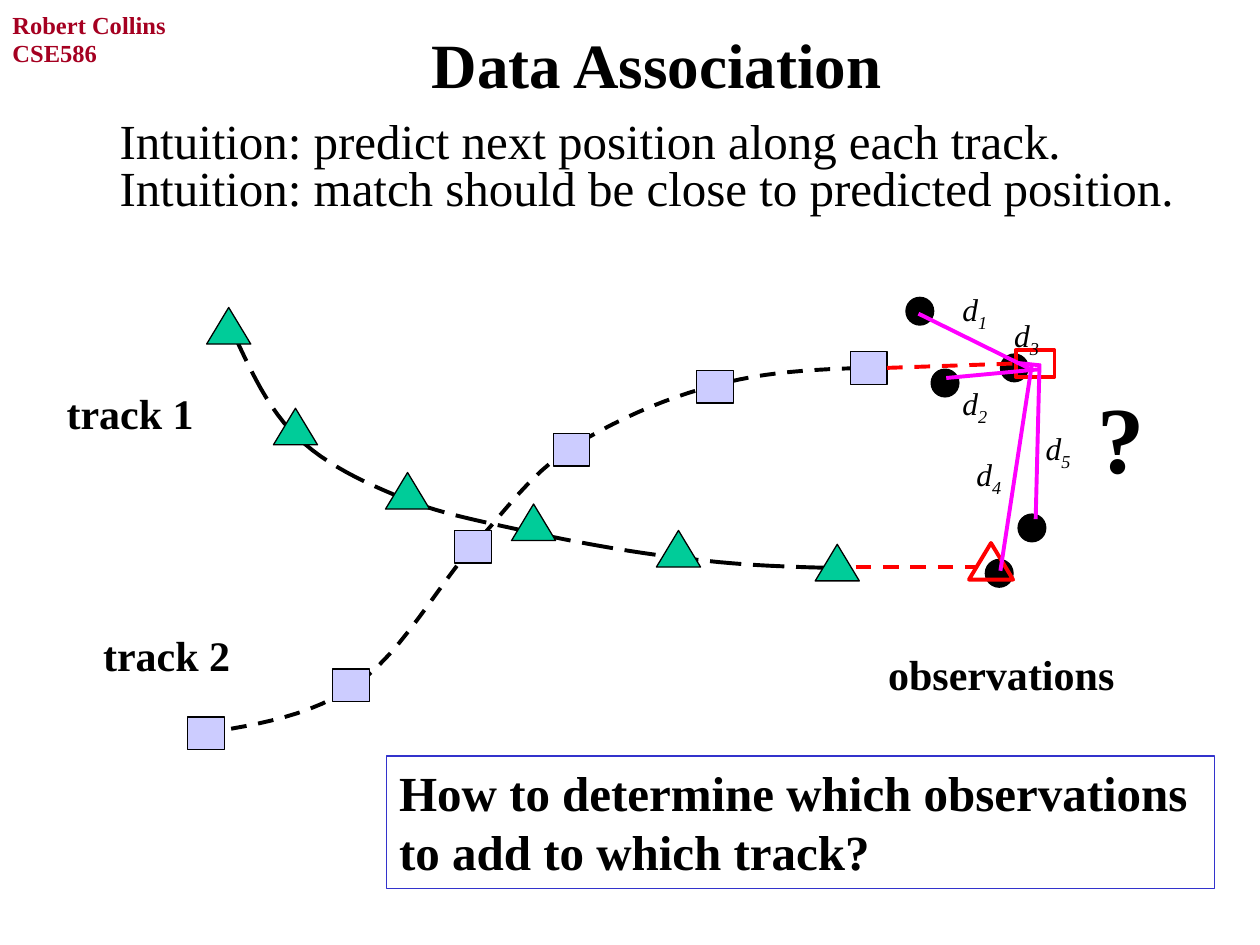
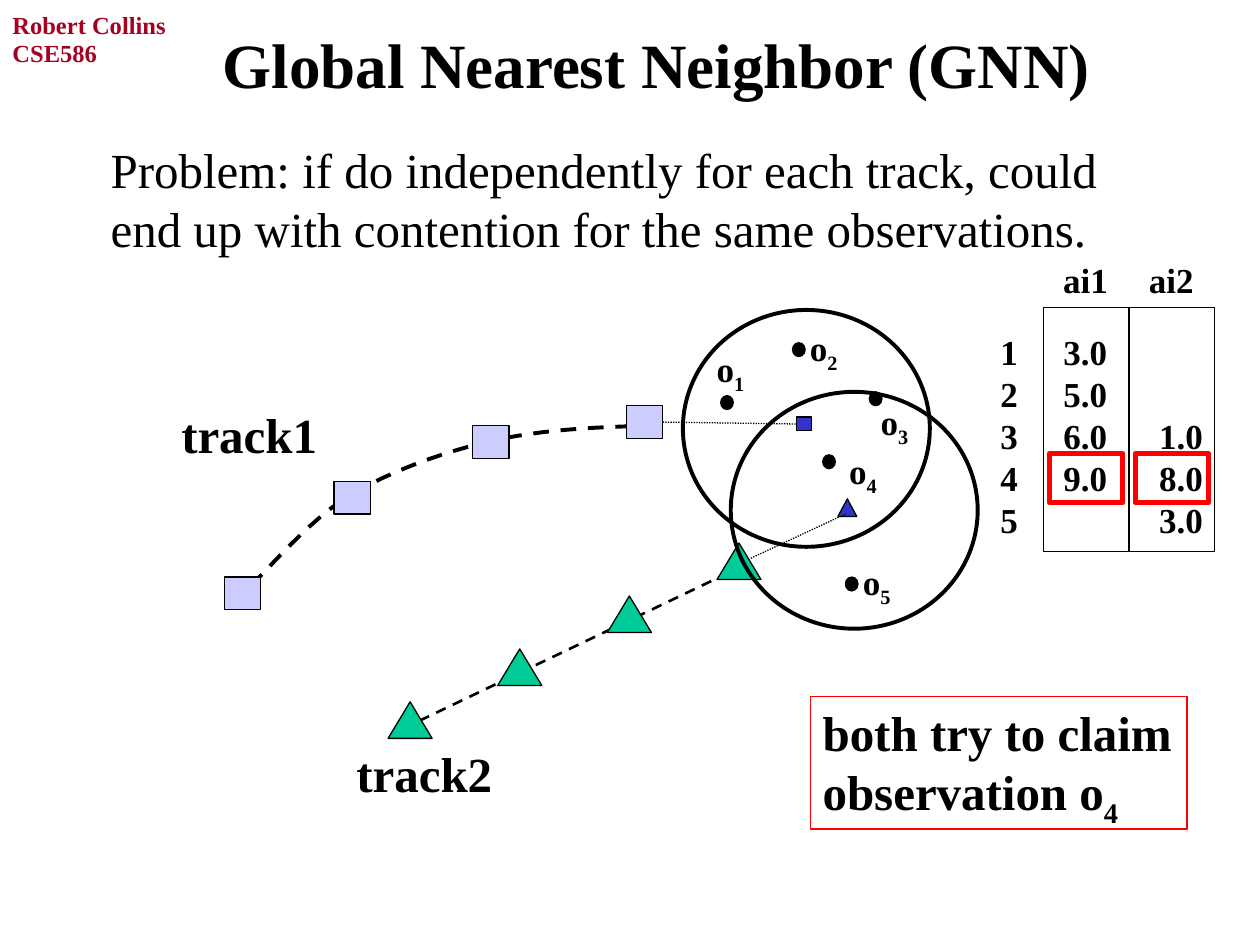
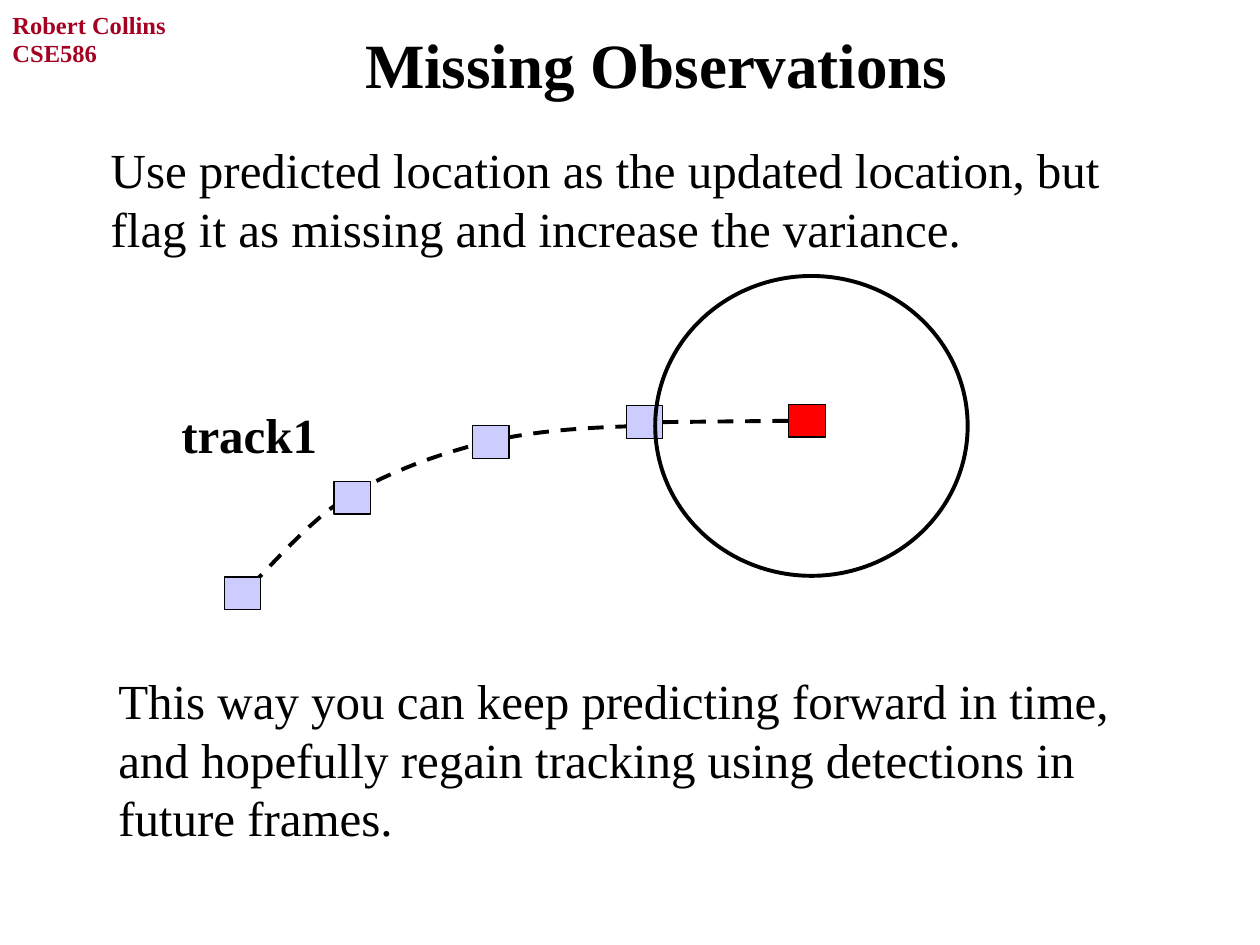
from lxml import etree
from pptx import Presentation
from pptx import util as u
from pptx.dml.color import RGBColor
from pptx.enum import dml, shapes, text
from pptx.oxml.ns import qn

# The slide is a grid of 10 columns by 7.5 rows of square cells.
COLUMNS, ROWS = 10, 7.5
CELL = u.Inches(1)

FONT = "Times New Roman"
BLACK = RGBColor(0x00, 0x00, 0x00)
MAROON = RGBColor(0xA5, 0x00, 0x21)
GREEN = RGBColor(0x00, 0xCC, 0x99)
LAVENDER = RGBColor(0xCC, 0xCC, 0xFF)
BLUE = RGBColor(0x33, 0x33, 0xCC)
RED = RGBColor(0xFF, 0x00, 0x00)
MAGENTA = RGBColor(0xFF, 0x00, 0xFF)

RECTANGLE = shapes.MSO_SHAPE.RECTANGLE
TRIANGLE = shapes.MSO_SHAPE.ISOSCELES_TRIANGLE
OVAL = shapes.MSO_SHAPE.OVAL
DASH = dml.MSO_LINE.DASH
LONG_DASH = dml.MSO_LINE.LONG_DASH
DOTS = dml.MSO_LINE.ROUND_DOT

SQUARE_SIZE = (0.29, 0.26)
TRIANGLE_SIZE = (0.35, 0.29)
OBSERVATION_SIZE = (0.22, 0.22)
SMALL_OBSERVATION_SIZE = (0.1, 0.11)
GATE_SIZE = (1.96, 1.88)
LEFT_SIDE, RIGHT_SIDE = 1, 3
CURVE_STEPS = 12

# Bezier paths: a start point, then two control points and an end for each part.
FALLING_PATH = [
    (1.85, 2.64), (1.99, 2.94), (2.13, 3.25), (2.36, 3.47),
    (2.59, 3.69), (2.89, 3.83), (3.21, 3.96),
    (3.53, 4.09), (3.89, 4.15), (4.28, 4.24),
    (4.66, 4.32), (5.11, 4.4), (5.51, 4.44),
    (5.91, 4.49), (6.3, 4.5), (6.68, 4.51)]
RISING_PATH = [
    (1.62, 5.82), (2.05, 5.75), (2.48, 5.68), (2.83, 5.43),
    (3.19, 5.18), (3.48, 4.64), (3.76, 4.33),
    (4.04, 4.02), (4.2, 3.78), (4.51, 3.57),
    (4.83, 3.36), (5.27, 3.16), (5.67, 3.06),
    (6.06, 2.95), (6.48, 2.93), (6.89, 2.92)]
SHORT_PATH = [
    (1.9, 4.72), (1.86, 4.76), (1.83, 4.8), (1.97, 4.67),
    (2.12, 4.53), (2.46, 4.12), (2.78, 3.93),
    (3.1, 3.74), (3.51, 3.59), (3.9, 3.5),
    (4.3, 3.41), (4.72, 3.39), (5.14, 3.38)]


def cells(*lengths):
    return [u.Emu(round(length * CELL)) for length in lengths]


def set_line(shape, color, width, dash=None):
    shape.line.color.rgb = color
    shape.line.width = u.Pt(width)
    if dash is not None:
        shape.line.dash_style = dash


def add_run(paragraph, words, size, color, bold, italic, subscript=False):
    run = paragraph.add_run()
    run.text = words
    run.font.name = FONT
    run.font.size = u.Pt(size)
    run.font.color.rgb = color
    run.font.bold = bold
    run.font.italic = italic
    if subscript:
        run._r.get_or_add_rPr().set("baseline", "-25000")


def add_text(slide, lines, left, top, width, height, size, color=BLACK,
             bold=False, italic=False, wrap=True):
    """Add one paragraph per line; what follows "_" is set as a subscript."""
    box = slide.shapes.add_textbox(*cells(left, top, width, height))
    frame = box.text_frame
    frame.word_wrap = wrap
    for index, line in enumerate(lines):
        paragraph = frame.add_paragraph() if index else frame.paragraphs[0]
        base, _, subscript = line.partition("_")
        add_run(paragraph, base, size, color, bold, italic)
        if subscript:
            add_run(paragraph, subscript, size, color, bold, italic, True)
    return box


def add_body(slide, words, left, top, height):
    add_text(slide, [words], left, top, 8.58, height, 28)


def add_label(slide, words, left, top, width, height, size):
    add_text(slide, [words], left, top, width, height, size, bold=True, wrap=False)


def add_callout(slide, lines, left, top, width, color):
    box = add_text(slide, lines, left, top, width, 1.05, 28, bold=True)
    set_line(box, color, 0.75)


def add_figure(slide, kind, position, size, fill=None, line=BLACK, width=0.75):
    shape = slide.shapes.add_shape(kind, *cells(*position, *size))
    shape.shadow.inherit = False
    if fill is None:
        shape.fill.background()
    else:
        shape.fill.solid()
        shape.fill.fore_color.rgb = fill
    set_line(shape, line, width)
    return shape


def add_figures(slide, kind, positions, size, fill=None, line=BLACK, width=0.75):
    return [add_figure(slide, kind, position, size, fill, line, width)
            for position in positions]


def add_line(slide, start, end, color, width, dash=None, source=None, target=None):
    """Draw a straight line, joined to the right of source and left of target."""
    connector = slide.shapes.add_connector(
        shapes.MSO_CONNECTOR.STRAIGHT, *cells(*start, *end))
    if source is not None:
        connector.begin_connect(source, RIGHT_SIDE)
    if target is not None:
        connector.end_connect(target, LEFT_SIDE)
    set_line(connector, color, width, dash)
    etree.SubElement(connector._element.spPr, qn("a:effectLst"))


def bezier_point(points, t):
    weights = ((1 - t) ** 3, 3 * t * (1 - t) ** 2, 3 * t ** 2 * (1 - t), t ** 3)
    return tuple(sum(weight * point[axis] for weight, point in zip(weights, points))
                 for axis in (0, 1))


def add_curve(slide, path_points, dash):
    vertices = [
        cells(*bezier_point(path_points[first:first + 4], step / CURVE_STEPS))
        for first in range(0, len(path_points) - 1, 3)
        for step in range(1, CURVE_STEPS + 1)]
    builder = slide.shapes.build_freeform(*cells(*path_points[0]))
    builder.add_line_segments(vertices, close=False)
    curve = builder.convert_to_shape()
    curve.shadow.inherit = False
    curve.fill.background()
    set_line(curve, BLACK, 2.25, dash)


def add_tab_stops(paragraph, stops):
    tab_list = etree.SubElement(paragraph._p.get_or_add_pPr(), qn("a:tabLst"))
    for stop in cells(*stops):
        etree.SubElement(tab_list, qn("a:tab"), pos=str(stop), algn="l")


def add_titled_slide(presentation, title):
    slide = presentation.slides.add_slide(presentation.slide_layouts[6])
    add_text(slide, ["CSE586"], 0, 0.25, 1.59, 0.33, 14, MAROON, bold=True)
    add_text(slide, ["Robert Collins"], 0, 0.03, 1.42, 0.33, 14, MAROON,
             bold=True, wrap=False)
    box = add_text(slide, [title], 1.25, 0.04, 7.92, 0.92, 36, bold=True)
    box.text_frame.vertical_anchor = text.MSO_ANCHOR.MIDDLE
    box.text_frame.paragraphs[0].alignment = text.PP_ALIGN.CENTER
    return slide


def add_short_track(slide):
    """Draw the rising track of four squares and return its last square."""
    add_curve(slide, SHORT_PATH, DASH)
    squares = add_figures(
        slide, RECTANGLE, [(1.78, 4.58), (2.65, 3.82), (3.75, 3.38), (4.97, 3.22)],
        SQUARE_SIZE, LAVENDER)
    add_label(slide, "track1", 1.34, 3.16, 1.28, 0.57, 28)
    return squares[-1]


def add_score_table(slide):
    """Draw the scores of the five observations for the two tracks."""
    left, top, column, height = 8.28, 2.44, 0.68, 1.94
    scores = [("3.0",), ("5.0",), ("6.0", "1.0"), ("9.0", "8.0"), ("", "3.0")]
    lines = ["\t".join((str(number), *row)) for number, row in enumerate(scores, 1)]
    box = add_text(slide, lines, 7.84, 2.57, 1.81, 2.1, 20, bold=True)
    for paragraph in box.text_frame.paragraphs:
        add_tab_stops(paragraph, (0.5, 1.26))
    for index, heading in enumerate(("ai1", "ai2")):
        column_left = left + index * column
        add_label(slide, heading, column_left + 0.06, 2, 0.56, 0.43, 20)
        add_figure(slide, RECTANGLE, (column_left, top), (column, height))
        add_figure(slide, RECTANGLE, (column_left + 0.05, 3.6), (0.58, 0.39),
                   line=RED, width=3)


def build_data_association(presentation):
    slide = add_titled_slide(presentation, "Data Association")
    add_body(slide, "Intuition: predict next position along each track.",
             0.85, 0.83, 0.57)
    add_body(slide, "Intuition: match should be close to predicted position.",
             0.85, 1.2, 0.57)

    add_curve(slide, FALLING_PATH, LONG_DASH)
    add_curve(slide, RISING_PATH, DASH)
    squares = add_figures(
        slide, RECTANGLE,
        [(1.49, 5.69), (2.64, 5.31), (3.61, 4.21), (4.39, 3.44), (5.53, 2.94),
         (6.75, 2.79)], SQUARE_SIZE, LAVENDER)
    add_figures(
        slide, TRIANGLE,
        [(1.64, 2.44), (2.17, 3.24), (3.06, 3.75), (4.06, 4), (5.21, 4.21),
         (6.47, 4.32)], TRIANGLE_SIZE, GREEN)
    add_figures(
        slide, OVAL,
        [(7.94, 2.81), (7.82, 4.44), (7.39, 2.93), (7.19, 2.36), (8.08, 4.08)],
        OBSERVATION_SIZE, BLACK)

    add_label(slide, "observations", 6.95, 5.1, 2, 0.5, 24)
    add_label(slide, "?", 8.61, 2.96, 0.58, 1, 54)
    add_label(slide, "track 1", 0.43, 3.03, 1.21, 0.5, 24)
    add_label(slide, "track 2", 0.72, 4.95, 1.21, 0.5, 24)
    add_callout(slide, ["How to determine which observations",
                        "to add to which track?"], 3.07, 6, 6.57, BLUE)

    predicted = add_figure(slide, RECTANGLE, (8.06, 2.78), (0.31, 0.21),
                           line=RED, width=2.25)
    add_figure(slide, TRIANGLE, (7.69, 4.31), TRIANGLE_SIZE, line=RED, width=2.25)
    add_line(slide, (7.04, 2.9), (8.06, 2.9), RED, 2.25, DASH, squares[-1], predicted)
    add_line(slide, (6.79, 4.5), (7.76, 4.5), RED, 2.25, DASH)

    for start, end in [((8.25, 2.89), (8.22, 4.12)), ((8.19, 2.89), (7.94, 4.53)),
                       ((8.18, 2.93), (7.29, 2.49)), ((8.26, 2.93), (7.51, 3)),
                       ((8.26, 2.9), (8.07, 2.88))]:
        add_line(slide, start, end, MAGENTA, 2.25)
    distance_places = [(7.54, 2.25), (7.54, 3), (7.95, 2.46), (7.65, 3.56), (8.2, 3.36)]
    for number, (left, top) in enumerate(distance_places, 1):
        add_text(slide, [f"d_{number}"], left, top, 0.41, 0.4, 18,
                 italic=True, wrap=False)


def build_nearest_neighbor(presentation):
    slide = add_titled_slide(presentation, "Global Nearest Neighbor (GNN)")
    add_body(slide, "Problem: if do independently for each track, could end up with "
             "contention for the same observations.", 0.78, 1.06, 1.03)

    add_line(slide, (3.33, 5.72), (5.9, 4.49), BLACK, 1.5, DASH)
    last_square = add_short_track(slide)
    predicted = add_figure(slide, RECTANGLE, (6.32, 3.31), (0.12, 0.11), BLUE)
    add_line(slide, (5.26, 3.38), (6.31, 3.38), BLACK, 0.75, DOTS,
             last_square, predicted)

    add_figures(slide, TRIANGLE,
                [(3.08 + 0.87 * step, 5.57 - 0.42 * step) for step in range(4)],
                TRIANGLE_SIZE, GREEN)
    add_figure(slide, TRIANGLE, (6.65, 3.96), (0.15, 0.14), BLUE)
    add_line(slide, (5.96, 4.43), (6.71, 4.08), BLACK, 0.75, DOTS)
    add_label(slide, "track2", 2.73, 5.85, 1.28, 0.57, 28)

    add_figures(slide, OVAL, [(5.42, 2.46), (5.8, 3.11)], GATE_SIZE, width=2.25)
    observations = [
        ((5.72, 3.14), (5.59, 2.71)), ((6.29, 2.72), (6.33, 2.54)),
        ((6.9, 3.11), (6.89, 3.13)), ((6.53, 3.61), (6.64, 3.52)),
        ((6.71, 4.58), (6.75, 4.4))]
    for number, (dot, label) in enumerate(observations, 1):
        add_figure(slide, OVAL, dot, SMALL_OBSERVATION_SIZE, BLACK)
        add_label(slide, f"o_{number}", *label, 0.43, 0.43, 20)

    add_score_table(slide)
    add_callout(slide, ["both try to claim", "observation o_4"], 6.43, 5.53, 2.99, RED)


def build_missing_observations(presentation):
    slide = add_titled_slide(presentation, "Missing Observations")
    add_body(slide, "Use predicted location as the updated location, but flag it as "
             "missing and increase the variance.", 0.78, 1.06, 1.04)
    last_square = add_short_track(slide)
    predicted = add_figure(slide, RECTANGLE, (6.26, 3.21), SQUARE_SIZE, RED)
    add_line(slide, (5.26, 3.38), (6.26, 3.38), BLACK, 2.25, DASH,
             last_square, predicted)
    add_figure(slide, OVAL, (5.2, 2.19), (2.48, 2.38), width=2.25)
    add_body(slide, "This way you can keep predicting forward in time, and hopefully "
             "regain tracking using detections in future frames.", 0.84, 5.27, 1.51)


def main():
    presentation = Presentation()
    presentation.slide_width, presentation.slide_height = cells(COLUMNS, ROWS)
    build_data_association(presentation)
    build_nearest_neighbor(presentation)
    build_missing_observations(presentation)
    presentation.save("out.pptx")


if __name__ == "__main__":
    main()
